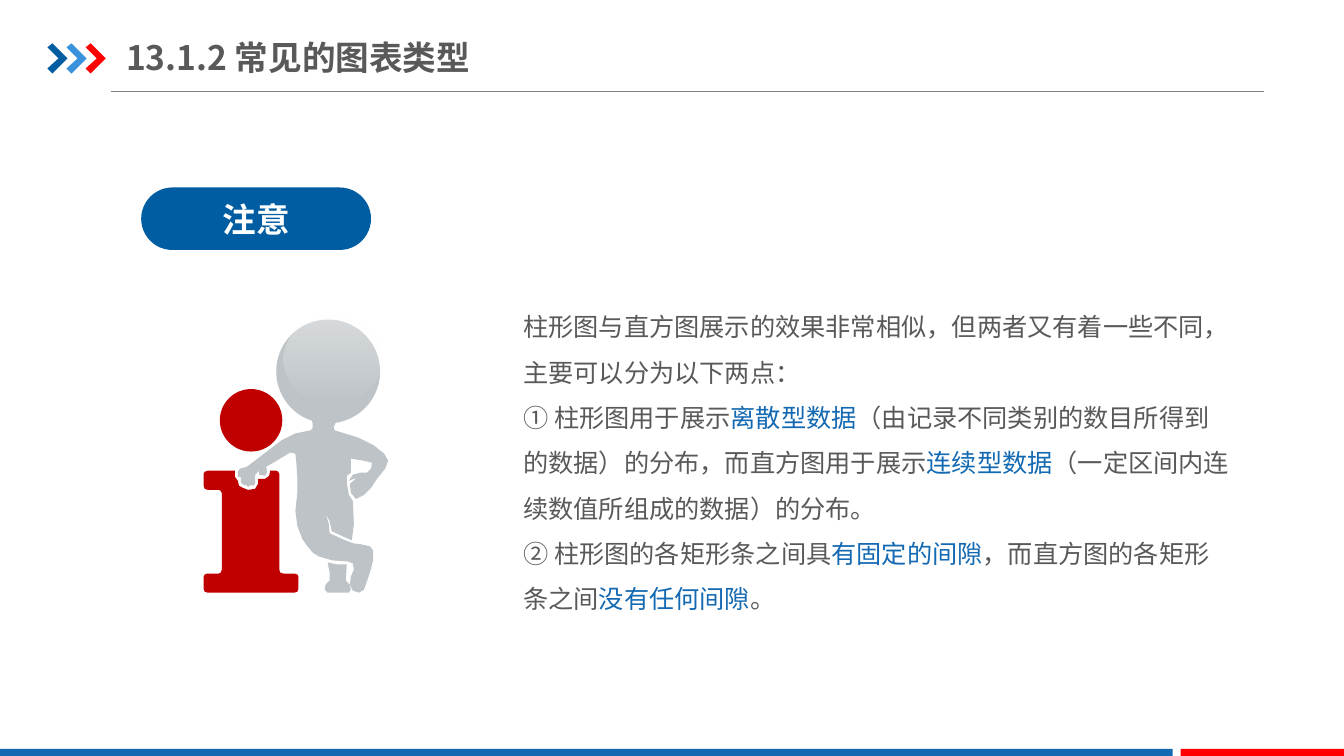
from lxml.etree import SubElement
from pptx import Presentation
from pptx.dml.color import RGBColor
from pptx.enum.shapes import MSO_CONNECTOR as Connector, MSO_SHAPE as Preset
from pptx.enum.text import MSO_ANCHOR as Anchor, MSO_AUTO_SIZE as AutoSize, PP_ALIGN as Align
from pptx.oxml.ns import qn
from pptx.util import Inches, Pt

FONT = "Noto Sans CJK SC"
WHITE = RGBColor(0xFF, 0xFF, 0xFF)
TEXT_GREY = RGBColor(0x59, 0x59, 0x59)
RULE_GREY = RGBColor(0x80, 0x80, 0x80)
FIGURE_GREY = RGBColor(0xBD, 0xC3, 0xC7)
NAVY = RGBColor(0x00, 0x5D, 0xA2)
SKY = RGBColor(0x39, 0x92, 0xDB)
BLUE = RGBColor(0x13, 0x69, 0xB2)
RED = RGBColor(0xFF, 0x00, 0x00)
DARK_RED = RGBColor(0xC0, 0x00, 0x00)

CHEVRON = [(0, 0.04), (0.05, 0), (0.2, 0.15), (0.05, 0.3), (0, 0.25), (0.11, 0.15)]

BACK_FOOT = [
    (3.25, 5.58), (3.34, 5.6), (3.44, 5.6), (3.43, 5.76), (3.47, 5.8), (3.48, 5.85),
    (3.46, 5.88), (3.25, 5.88), (3.22, 5.85), (3.23, 5.8), (3.27, 5.76), (3.27, 5.68),
]

BODY = [
    (3.08, 4.1), (3.1, 4.2), (3.1, 4.25), (3.08, 4.27), (2.93, 4.3), (2.79, 4.37),
    (2.62, 4.5), (2.45, 4.63), (2.38, 4.65), (2.36, 4.68), (2.36, 4.73), (2.39, 4.73),
    (2.39, 4.79), (2.42, 4.81), (2.44, 4.81), (2.46, 4.83), (2.49, 4.81), (2.51, 4.82),
    (2.53, 4.8), (2.53, 4.71), (2.57, 4.67), (2.57, 4.71), (2.63, 4.72), (2.65, 4.68),
    (2.64, 4.63), (2.73, 4.58), (2.81, 4.53), (2.88, 4.49), (2.93, 4.5), (2.94, 4.6),
    (2.95, 4.75), (2.95, 4.88), (2.93, 5.07), (2.95, 5.22), (3, 5.35), (3.05, 5.42),
    (3.1, 5.48), (3.16, 5.52), (3.3, 5.56), (3.45, 5.57), (3.5, 5.59), (3.51, 5.65),
    (3.48, 5.72), (3.47, 5.8), (3.5, 5.86), (3.56, 5.88), (3.61, 5.85), (3.67, 5.68),
    (3.7, 5.56), (3.7, 5.46), (3.67, 5.42), (3.58, 5.4), (3.5, 5.39), (3.4, 5.35),
    (3.27, 5.29), (3.26, 5.19), (3.23, 5.1), (3.27, 5.17), (3.29, 5.27), (3.42, 5.33),
    (3.49, 5.36), (3.51, 5.2), (3.5, 4.97), (3.46, 4.91), (3.44, 4.79), (3.44, 4.72),
    (3.48, 4.69), (3.48, 4.55), (3.6, 4.57), (3.69, 4.59), (3.68, 4.65), (3.64, 4.69),
    (3.57, 4.69), (3.5, 4.71), (3.46, 4.77), (3.54, 4.74), (3.47, 4.8), (3.48, 4.89),
    (3.53, 4.95), (3.61, 4.91), (3.68, 4.84), (3.74, 4.75), (3.82, 4.65), (3.85, 4.57),
    (3.81, 4.5), (3.71, 4.42), (3.55, 4.34), (3.32, 4.27), (3.31, 4.24), (3.33, 4.19),
    (3.36, 4.1),
]

LETTER_STEM = [
    (2.06, 4.67), (2.33, 4.67), (2.33, 4.73), (2.36, 4.77), (2.37, 4.82), (2.41, 4.84),
    (2.46, 4.86), (2.53, 4.85), (2.56, 4.8), (2.56, 4.75), (2.63, 4.75), (2.67, 4.72),
    (2.68, 4.67), (2.74, 4.67), (2.76, 4.68), (2.77, 4.7), (2.77, 5.65), (2.78, 5.68),
    (2.81, 5.69), (2.92, 5.69), (2.95, 5.7), (2.96, 5.72), (2.96, 5.84), (2.95, 5.87),
    (2.92, 5.88), (2.06, 5.88), (2.03, 5.87), (2.02, 5.84), (2.02, 5.72), (2.03, 5.7),
    (2.06, 5.69), (2.17, 5.69), (2.19, 5.68), (2.2, 5.65), (2.2, 4.89), (2.19, 4.87),
    (2.17, 4.86), (2.06, 4.86), (2.03, 4.85), (2.02, 4.82), (2.02, 4.7), (2.03, 4.68),
]

NOTES = [
    [("柱形图与直方图展示的效果非常相似，但两者又有着一些不同，主要可以分为以下两点：", TEXT_GREY)],
    [
        ("① 柱形图用于展示", TEXT_GREY),
        ("离散型数据", BLUE),
        ("（由记录不同类别的数目所得到的数据）的分布，而直方图用于展示", TEXT_GREY),
        ("连续型数据", BLUE),
        ("（一定区间内连续数值所组成的数据）的分布。", TEXT_GREY),
    ],
    [
        ("② 柱形图的各矩形条之间具", TEXT_GREY),
        ("有固定的间隙", BLUE),
        ("，而直方图的各矩形条之间", TEXT_GREY),
        ("没有任何间隙", BLUE),
        ("。", TEXT_GREY),
    ],
]


def place(shape, left, top, width, height):
    shape.left, shape.top = Inches(left), Inches(top)
    shape.width, shape.height = Inches(width), Inches(height)


def format_run(run, size, color, bold=False):
    run.font.size = Pt(size)
    run.font.bold = bold
    run.font.color.rgb = color
    run.font.name = FONT
    SubElement(run.font._element, qn("a:ea"), typeface=FONT)


def paint(shape, color):
    shape.fill.solid()
    shape.fill.fore_color.rgb = color
    shape.line.fill.background()
    shape.shadow.inherit = False


def add_preset(shapes, preset, color, left, top, width, height):
    shape = shapes.add_shape(preset, Inches(left), Inches(top), Inches(width), Inches(height))
    paint(shape, color)
    return shape


def add_outline(shapes, points, color, left=0, top=0):
    corners = [(Inches(left + x), Inches(top + y)) for x, y in points]
    builder = shapes.build_freeform(*corners[0])
    builder.add_line_segments(corners[1:], close=True)
    paint(builder.convert_to_shape(), color)


def add_title(slide):
    title = slide.shapes.title
    place(title, 1.25, 0.29, 4.55, 0.55)
    frame = title.text_frame
    frame.text = "13.1.2 常见的图表类型"
    frame.margin_left = frame.margin_right = 0
    frame.vertical_anchor = Anchor.MIDDLE
    frame.auto_size = AutoSize.NONE
    frame.paragraphs[0].alignment = Align.LEFT
    format_run(frame.paragraphs[0].runs[0], 24, TEXT_GREY, bold=True)


def add_notes(slide):
    body = slide.placeholders[1]
    place(body, 5.09, 2.89, 7.24, 3.28)
    frame = body.text_frame
    frame.auto_size = AutoSize.NONE
    for index, pieces in enumerate(NOTES):
        paragraph = frame.add_paragraph() if index else frame.paragraphs[0]
        properties = paragraph._p.get_or_add_pPr()
        properties.set("marL", "0")
        properties.set("indent", "0")
        SubElement(properties, qn("a:buNone"))
        paragraph.line_spacing = 1.5
        paragraph.space_before = Pt(0)
        for text, color in pieces:
            run = paragraph.add_run()
            run.text = text
            format_run(run, 18, color)


def add_frame(slide):
    rule = slide.shapes.add_connector(
        Connector.STRAIGHT, Inches(1.1), Inches(0.91), Inches(12.54), Inches(0.91))
    rule.line.color.rgb = RULE_GREY
    rule.line.width = Pt(0.75)
    SubElement(rule._element.spPr, qn("a:effectLst"))
    chevrons = slide.shapes.add_group_shape().shapes
    for index, color in enumerate((NAVY, SKY, RED)):
        add_outline(chevrons, CHEVRON, color, 0.47 + 0.19 * index, 0.43)
    for color, left, width in ((BLUE, 0, 11.63), (RED, 11.71, 1.62)):
        add_preset(slide.shapes, Preset.RECTANGLE, color, left, 7.43, width, 0.07)


def add_badge(slide):
    badge = add_preset(slide.shapes, Preset.ROUNDED_RECTANGLE, NAVY, 1.4, 1.86, 2.28, 0.62)
    badge.adjustments[0] = 0.5
    frame = badge.text_frame
    frame.text = "注意"
    frame.vertical_anchor = Anchor.MIDDLE
    frame.paragraphs[0].alignment = Align.CENTER
    format_run(frame.paragraphs[0].runs[0], 24, WHITE, bold=True)


def add_figure(slide):
    shapes = slide.shapes.add_group_shape().shapes
    for points, color in ((BACK_FOOT, FIGURE_GREY), (BODY, FIGURE_GREY), (LETTER_STEM, DARK_RED)):
        add_outline(shapes, points, color)
    add_preset(shapes, Preset.OVAL, DARK_RED, 2.18, 3.86, 0.62, 0.62)
    add_preset(shapes, Preset.OVAL, FIGURE_GREY, 2.74, 3.17, 1.03, 1.03)
    shine = add_preset(shapes, Preset.OVAL, WHITE, 2.81, 3.12, 0.97, 0.88)
    shine.fill.gradient()
    shine.fill.gradient_angle = 270
    for stop, alpha in zip(shine.fill.gradient_stops, ("42000", "0")):
        stop.color.rgb = WHITE
        SubElement(stop._gs[0], qn("a:alpha"), val=alpha)


def main():
    """Build the slide and save it."""
    presentation = Presentation()
    presentation.slide_width = Inches(13.33)
    presentation.slide_height = Inches(7.5)
    slide = presentation.slides.add_slide(presentation.slide_layouts[1])
    add_frame(slide)
    add_title(slide)
    add_badge(slide)
    add_figure(slide)
    add_notes(slide)
    presentation.save("out.pptx")


if __name__ == "__main__":
    main()
